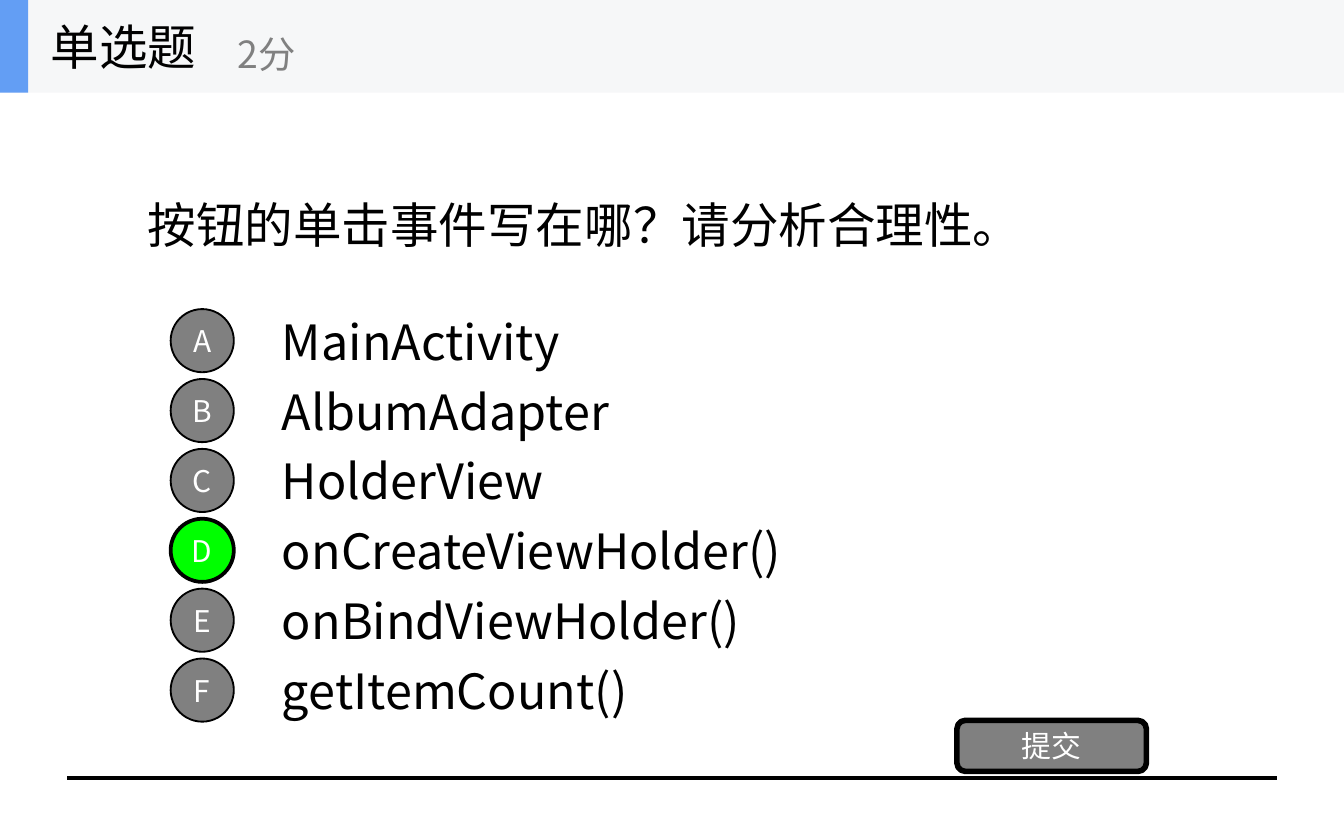
"""Build a single-choice quiz slide with six options and a submit button."""
from typing import Any, NamedTuple

import pptx
import pptx.dml.color
import pptx.enum.shapes
import pptx.enum.text
import pptx.oxml.ns
import pptx.util
from lxml import etree

Inches = pptx.util.Inches
Pt = pptx.util.Pt
Shape = pptx.enum.shapes.MSO_SHAPE
Align = pptx.enum.text.PP_ALIGN
qn = pptx.oxml.ns.qn

FONT = "Noto Sans CJK SC"
BLACK, WHITE, GREY, GREEN = "000000", "FFFFFF", "808080", "00FF00"
FIRST_TOP, STEP = 2.24, 0.52


class Box(NamedTuple):
    left: float
    top: float
    width: float
    height: float


class Option(NamedTuple):
    letter: str
    answer: str
    correct: bool = False


OPTIONS = [
    Option("A", "MainActivity"),
    Option("B", "AlbumAdapter"),
    Option("C", "HolderView"),
    Option("D", "onCreateViewHolder()", correct=True),
    Option("E", "onBindViewHolder()"),
    Option("F", "getItemCount()"),
]


def rgb(value: str) -> pptx.dml.color.RGBColor:
    return pptx.dml.color.RGBColor.from_string(value)


def write(sp: Any, text: str, size: float, color: str, align: Any = Align.LEFT) -> None:
    tf = sp.text_frame
    frame_format = {"word_wrap": True, "vertical_anchor": pptx.enum.text.MSO_ANCHOR.MIDDLE}
    for name, value in frame_format.items():
        setattr(tf, name, value)
    p = tf.paragraphs[0]
    p.alignment = align
    r = p.add_run()
    r.text = text
    r.font.color.rgb = rgb(color)
    for name, value in {"size": Pt(size), "name": FONT}.items():
        setattr(r.font, name, value)
    etree.SubElement(r.font._element, qn("a:ea"), typeface=FONT)


def add_text(shapes: Any, box: Box, text: str, size: float = 26, color: str = BLACK) -> None:
    write(shapes.add_textbox(*map(Inches, box)), text, size, color)


def add_filled(shapes: Any, kind: Any, box: Box, fill: str, line_width: float = 0) -> Any:
    sp = shapes.add_shape(kind, *map(Inches, box))
    sp.shadow.inherit = False
    sp.fill.solid()
    sp.fill.fore_color.rgb = rgb(fill)
    if line_width:
        sp.line.color.rgb = rgb(BLACK)
        sp.line.width = Pt(line_width)
    else:
        sp.line.fill.background()
    return sp


def add_button(shapes: Any, kind: Any, box: Box, label: str, fill: str, line_width: float) -> None:
    sp = add_filled(shapes, kind, box, fill, line_width)
    for side in ("left", "top", "right", "bottom"):
        setattr(sp.text_frame, f"margin_{side}", 0)
    write(sp, label, 16, WHITE, Align.CENTER)


def add_rule(shapes: Any, left: float, right: float, y: float) -> None:
    s = shapes.add_connector(
        pptx.enum.shapes.MSO_CONNECTOR.STRAIGHT, Inches(left), Inches(y), Inches(right), Inches(y)
    )
    s.line.color.rgb = rgb(BLACK)
    s.line.width = Pt(2.25)
    etree.SubElement(s._element.spPr, qn("a:effectLst"))


def add_option(shapes: Any, option: Option, top: float) -> None:
    add_text(shapes, Box(2, top, 7, 0.59), option.answer)
    fill, line_width = (GREEN, 2) if option.correct else (GREY, 1)
    circle = Box(1.27, top + 0.06, 0.47, 0.47)
    add_button(shapes, Shape.OVAL, circle, option.letter, fill, line_width)


def add_header(shapes: Any) -> None:
    header = shapes.add_group_shape().shapes
    add_filled(header, Shape.RECTANGLE, Box(0, 0, 10, 0.69), "F6F7F8")
    add_filled(header, Shape.RECTANGLE, Box(0, 0, 0.21, 0.69), "639EF4")
    add_text(header, Box(0.28, 0, 2.08, 0.69), "单选题")
    add_text(header, Box(1.67, 0.12, 2.5, 0.56), "2分", 20, GREY)


def main() -> None:
    prs = pptx.Presentation()
    prs.slide_width, prs.slide_height = Inches(10), Inches(6.25)
    shapes = prs.slides.add_slide(prs.slide_layouts[6]).shapes
    add_rule(shapes, 0.5, 9.5, 5.79)
    add_text(shapes, Box(1, 0.69, 8, 1.95), "按钮的单击事件写在哪？请分析合理性。")
    for i, option in enumerate(OPTIONS):
        add_option(shapes, option, FIRST_TOP + i * STEP)
    add_button(shapes, Shape.ROUNDED_RECTANGLE, Box(7.12, 5.36, 1.41, 0.38), "提交", GREY, 3)
    add_header(shapes)
    prs.save("out.pptx")


if __name__ == "__main__":
    main()
